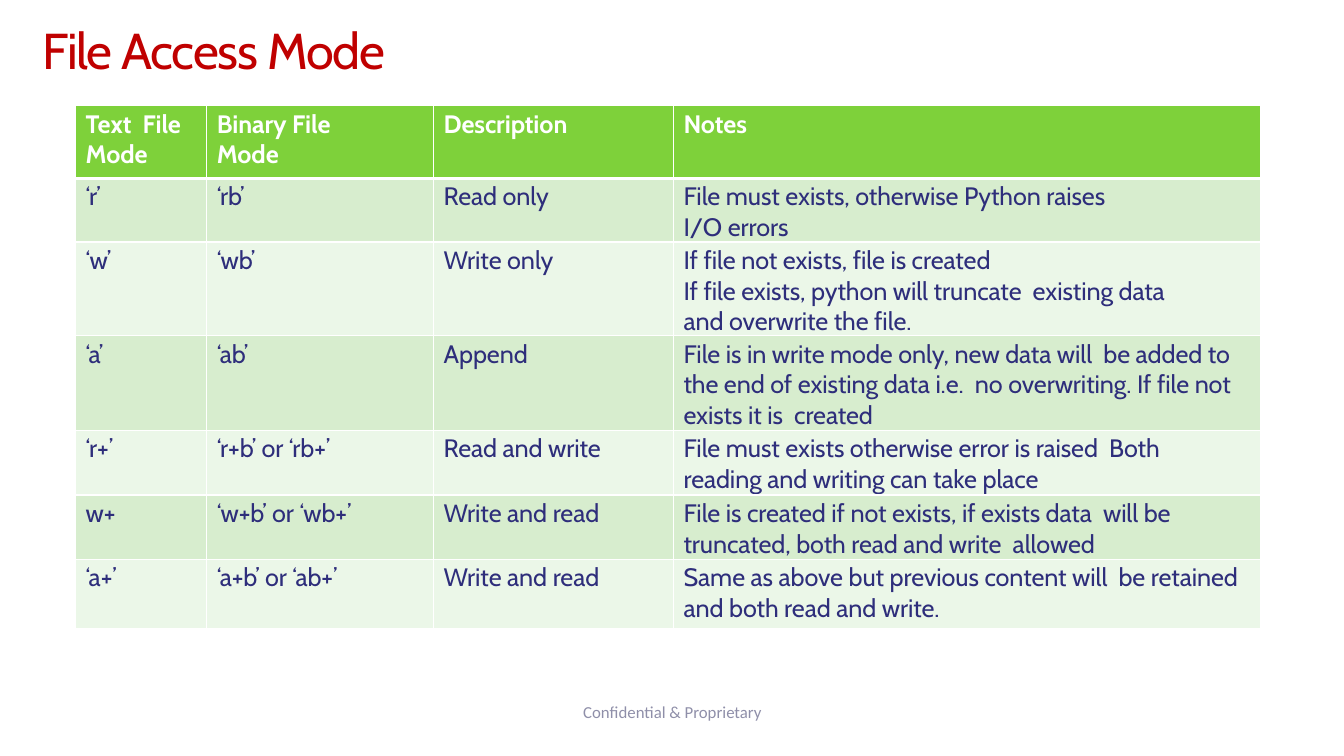
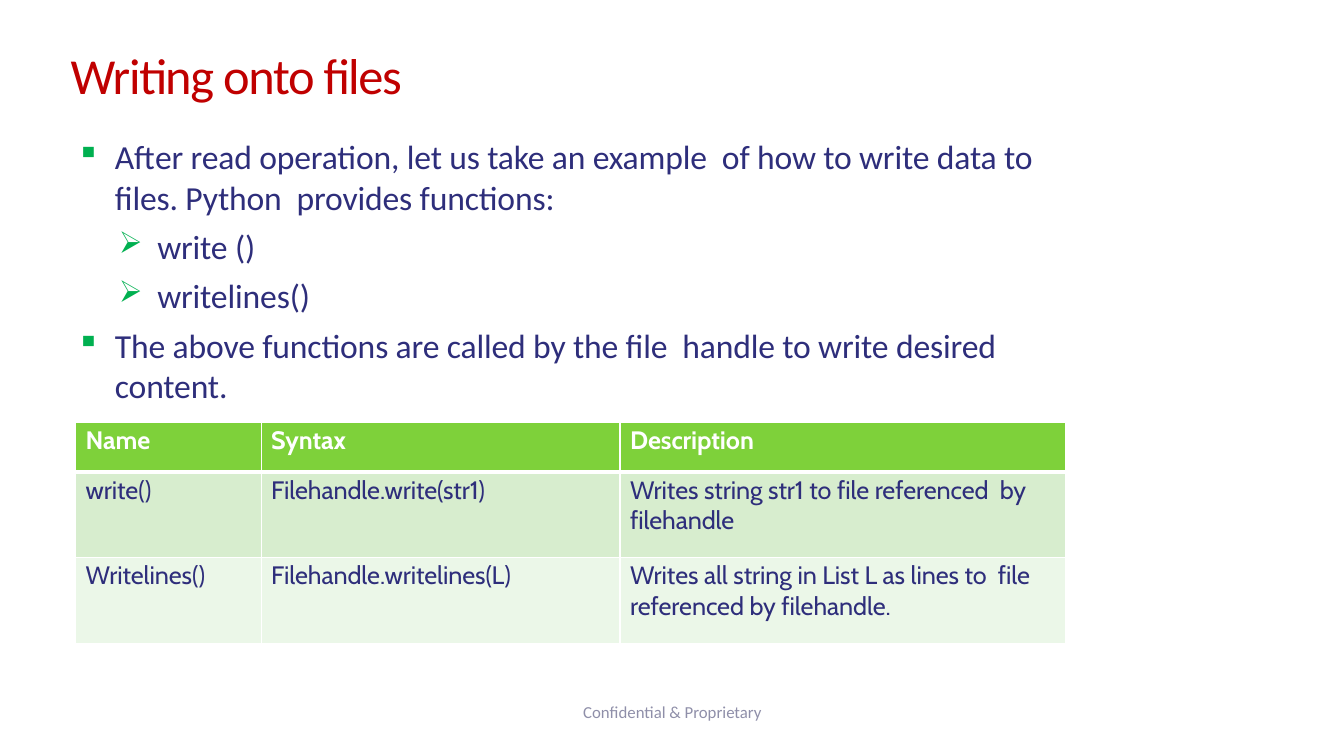
from lxml.etree import SubElement
from pptx import Presentation
from pptx.dml.color import RGBColor
from pptx.enum.text import MSO_ANCHOR, MSO_AUTO_SIZE, PP_ALIGN
from pptx.oxml import parse_xml
from pptx.oxml.ns import nsdecls, qn
from pptx.util import Inches, Pt

RED, NAVY, WHITE, GREY = "C00000", "2E2E7B", "FFFFFF", "8F8FA9"
HEADER, BAND_DARK, BAND_LIGHT = "7ED13A", "D7EDCE", "EBF7E8"
BULLET_GREEN = "00B050"
BULLETS = [("▪", 95, 0.39), ("➢", 90, 0.81)]

ACCESS_MODES = [
    ["Text  File  Mode", ("Binary File  Mode", 0.6), "Description", "Notes"],
    ["‘r’", "‘rb’", "Read only",
     "File must exists, otherwise Python raises\nI/O errors"],
    ["‘w’", "‘wb’", "Write only",
     ("If file not exists, file is created\n"
      "If file exists, python will truncate  existing data and overwrite the file.", 0.8)],
    ["‘a’", "‘ab’", "Append",
     "File is in write mode only, new data will  be added to the end of existing data "
     "i.e.  no overwriting. If file not exists it is  created"],
    ["‘r+’", "‘r+b’ or ‘rb+’", "Read and write",
     ("File must exists otherwise error is raised  Both reading and writing can take place", 0.4)],
    ["w+", "‘w+b’ or ‘wb+’", "Write and read",
     "File is created if not exists, if exists data  will be truncated, "
     "both read and write  allowed"],
    ["‘a+’", "‘a+b’ or ‘ab+’", "Write and read",
     "Same as above but previous content will  be retained and both read and write."],
]

WRITE_FUNCTIONS = [
    ["Name", "Syntax", "Description"],
    ["write()", "Filehandle.write(str1)", "Writes string str1 to file referenced  by filehandle"],
    ["Writelines()", "Filehandle.writelines(L)",
     "Writes all string in List L as lines to  file referenced by filehandle."],
]

WRITING_POINTS = [
    (0, 0, "After read operation, let us take an example  of how to write data to files. "
           "Python  provides functions:"),
    (1, 6.5, "write ()"),
    (1, 6.2, "writelines()"),
    (0, 6.7, "The above functions are called by the file  handle to write desired content."),
]


def rgb(color):
    return RGBColor.from_string(color)


def style(paragraph, font_name, size, color, bold=False, tracking=0):
    font = paragraph.font
    font.name, font.size, font.bold = font_name, Pt(size), bold
    font.color.rgb = rgb(color)
    for run in paragraph.runs:
        run._r.get_or_add_rPr().set("spc", str(round(tracking * 100)))


def set_margins(target, top, right=0):
    target.margin_left = target.margin_bottom = 0
    target.margin_top, target.margin_right = Inches(top), Inches(right)


def add_footer(slide):
    footer = slide.shapes.add_textbox(Inches(4.42), Inches(6.86), Inches(4.5), Inches(0.4))
    frame = footer.text_frame
    frame.word_wrap = True
    frame.vertical_anchor = MSO_ANCHOR.MIDDLE
    frame.text = "Confidential & Proprietary"
    frame.paragraphs[0].alignment = PP_ALIGN.CENTER
    style(frame.paragraphs[0], "Calibri", 12, GREY)


def add_titled_slide(deck, heading, left, top, width, font_name):
    slide = deck.slides.add_slide(deck.slide_layouts[5])
    title = slide.shapes.title
    title.left, title.top = Inches(left), Inches(top)
    title.width, title.height = Inches(width), Inches(0.62)
    frame = title.text_frame
    set_margins(frame, 0.01)
    frame.auto_size = MSO_AUTO_SIZE.NONE
    frame.vertical_anchor = MSO_ANCHOR.MIDDLE
    frame.text = heading
    frame.paragraphs[0].alignment = PP_ALIGN.LEFT
    style(frame.paragraphs[0], font_name, 36, RED, tracking=-0.9)
    add_footer(slide)
    return slide


def set_borders(cell, top, bottom):
    properties = cell._tc.get_or_add_tcPr()
    sides = [("lnL", 1), ("lnR", 1), ("lnT", top), ("lnB", bottom)]
    for position, (side, width) in enumerate(sides):
        properties.insert(position, parse_xml(
            f'<a:{side} {nsdecls("a")} w="{Pt(width)}"><a:solidFill>'
            f'<a:srgbClr val="{WHITE}"/></a:solidFill></a:{side}>'))


def fill_cell(cell, content, row):
    text, right = content if isinstance(content, tuple) else (content, 0)
    is_header = row == 0
    set_margins(cell, 0.03, right)
    cell.margin_left = Inches(0.1)
    cell.text = text
    for paragraph in cell.text_frame.paragraphs:
        style(paragraph, "Cabin", 18, WHITE if is_header else NAVY, is_header, -0.06)
    cell.fill.solid()
    cell.fill.fore_color.rgb = rgb(HEADER if is_header else BAND_DARK if row % 2 else BAND_LIGHT)
    set_borders(cell, 3 if row == 1 else 1, 3 if is_header else 1)


def add_mode_table(slide, top, column_widths, row_heights, rows):
    table = slide.shapes.add_table(
        len(rows), len(column_widths), Inches(0.75), Inches(top),
        Inches(sum(column_widths)), Inches(sum(row_heights))).table
    for column, width in zip(table.columns, column_widths):
        column.width = Inches(width)
    for table_row, height in zip(table.rows, row_heights):
        table_row.height = Inches(height)
    for row, contents in enumerate(rows):
        for column, content in enumerate(contents):
            fill_cell(table.cell(row, column), content, row)


def set_bullet(paragraph, level):
    symbol, percent, indent = BULLETS[level]
    paragraph.level = level
    properties = paragraph._p.get_or_add_pPr()
    properties.set("marL", str(Inches(indent)))
    properties.set("indent", str(Inches(-0.38)))
    bullet_color = SubElement(properties, qn("a:buClr"))
    SubElement(bullet_color, qn("a:srgbClr"), val=BULLET_GREEN)
    SubElement(properties, qn("a:buSzPct"), val=str(percent * 1000))
    SubElement(properties, qn("a:buChar"), char=symbol)


def add_points(slide, points):
    body = slide.shapes.add_textbox(Inches(0.75), Inches(1.34), Inches(9.99), Inches(2.72))
    frame = body.text_frame
    frame.word_wrap = True
    set_margins(frame, 0.01)
    frame.text = "\n".join(text for _, _, text in points)
    for paragraph, (level, space_before, _) in zip(frame.paragraphs, points):
        set_bullet(paragraph, level)
        if space_before:
            paragraph.space_before = Pt(space_before)
        style(paragraph, "Calibri", 24, NAVY, tracking=-0.1)


def main():
    deck = Presentation()
    deck.slide_width, deck.slide_height = Inches(13.33), Inches(7.5)

    access = add_titled_slide(deck, "File Access Mode", 0.42, 0.17, 5.67, "Cabin")
    add_mode_table(access, 1.05, [1.3, 2.25, 2.38, 5.82],
                   [0.72, 0.63, 0.93, 0.94, 0.64, 0.64, 0.69], ACCESS_MODES)

    writing = add_titled_slide(deck, "Writing onto files", 0.7, 0.42, 7.37, "Calibri")
    add_points(writing, WRITING_POINTS)
    add_mode_table(writing, 4.19, [1.84, 3.56, 4.42], [0.49, 0.85, 0.85], WRITE_FUNCTIONS)

    deck.save("out.pptx")


if __name__ == "__main__":
    main()
